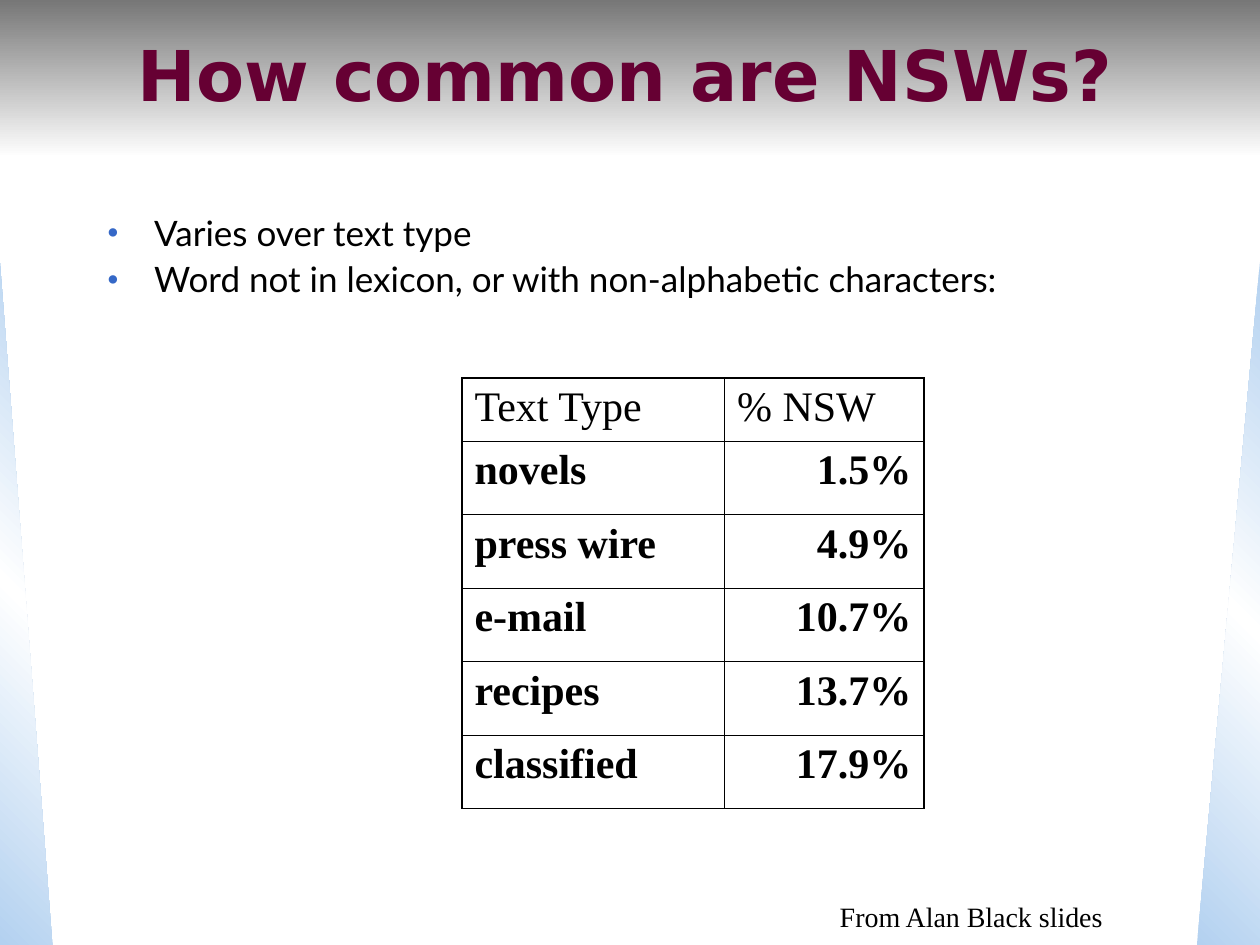
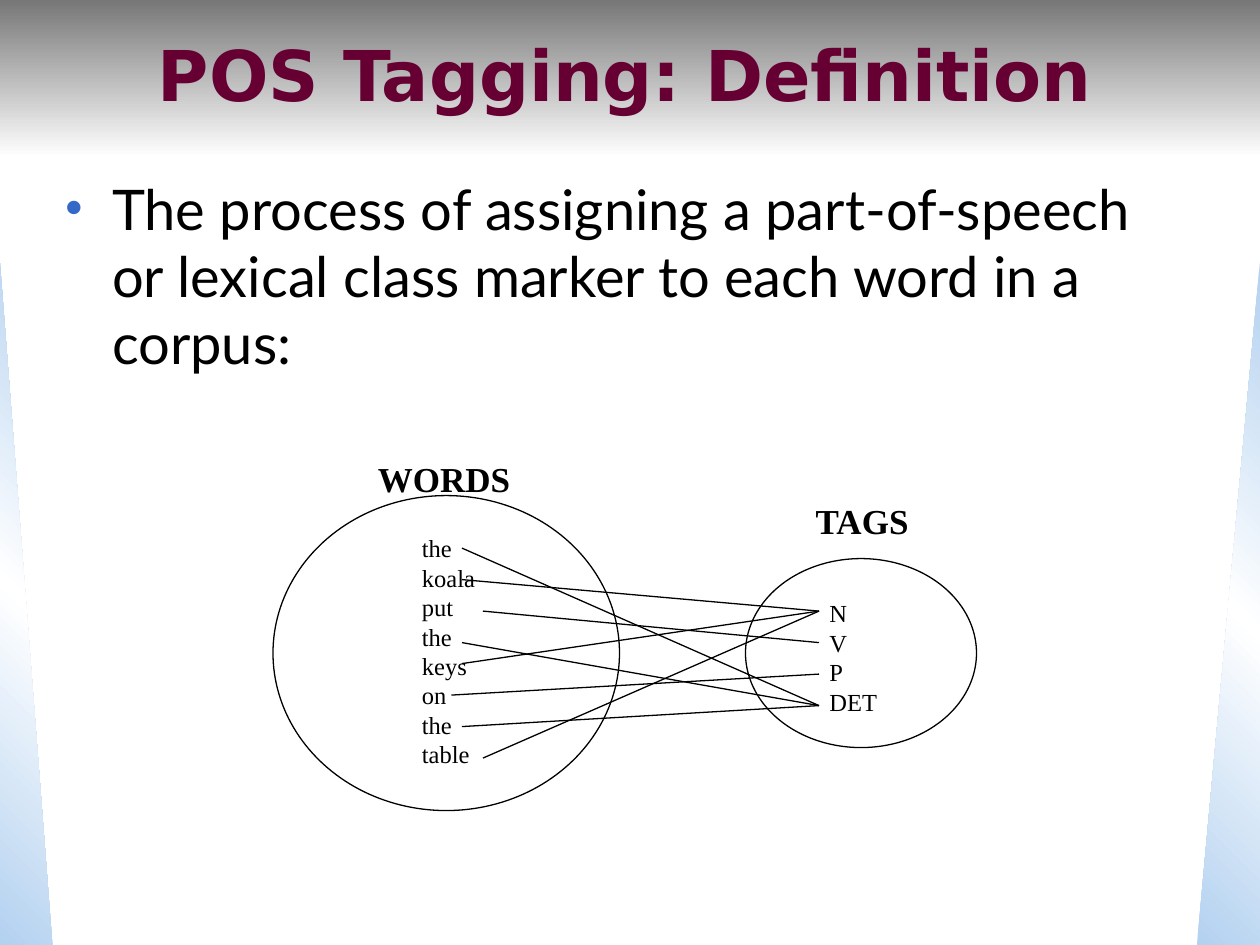
from dataclasses import dataclass

from lxml import etree
from pptx import Presentation
from pptx.dml.color import RGBColor
from pptx.enum.shapes import MSO_CONNECTOR, MSO_SHAPE
from pptx.enum.text import MSO_ANCHOR, MSO_AUTO_SIZE, PP_ALIGN
from pptx.oxml.ns import qn
from pptx.util import Pt

EMU_PER_PX = 7620
SLIDE_W, SLIDE_H = 1200, 900
RECT, TRIANGLE, OVAL = MSO_SHAPE.RECTANGLE, MSO_SHAPE.RIGHT_TRIANGLE, MSO_SHAPE.OVAL
STRAIGHT = MSO_CONNECTOR.STRAIGHT
LEFT, CENTER, RIGHT = PP_ALIGN.LEFT, PP_ALIGN.CENTER, PP_ALIGN.RIGHT
TOP, MIDDLE = MSO_ANCHOR.TOP, MSO_ANCHOR.MIDDLE
NO_FIT, GROW = MSO_AUTO_SIZE.NONE, MSO_AUTO_SIZE.SHAPE_TO_FIT_TEXT


@dataclass(frozen=True)
class Theme:
    """Colours, fonts, type sizes and line widths of the deck."""
    title: str = "660033"
    ink: str = "000000"
    bullet: str = "3568C7"
    band: tuple = ("777777", "FFFFFF")
    edge: tuple = ("B3D1F0", "FFFFFF", "B3D1F0")
    title_font: str = "DejaVu Sans"
    body_font: str = "Lato"
    serif: str = "Times New Roman"
    title_size: int = 40
    definition_size: int = 32
    cell_size: int = 24
    body_size: int = 20
    label_size: int = 20
    credit_size: int = 16
    list_size: int = 14
    rule: float = 0.75
    outer_border: float = 1.08
    inner_border: float = 0.45


THEME = Theme()

NSW_SHARES = [
    ("Text Type", "% NSW"),
    ("novels", "1.5%"),
    ("press wire", "4.9%"),
    ("e-mail", "10.7%"),
    ("recipes", "13.7%"),
    ("classified", "17.9%"),
]
TAGS = ["N", "V", "P", "DET"]
TAGGED_WORDS = [
    ("the", "DET", 180, 92),
    ("koala", "N", 180, 122),
    ("put", "V", 200, 152),
    ("the", "DET", 180, 182),
    ("keys", "N", 180, 202),
    ("on", "P", 170, 232),
    ("the", "DET", 180, 262),
    ("table", "N", 200, 292),
]


def emu(*lengths):
    """Turn px lengths into EMU."""
    return [length * EMU_PER_PX for length in lengths]


def child(parent, tag, **attributes):
    """Append a DrawingML element to its parent."""
    element = etree.SubElement(parent, qn(tag))
    for key, value in attributes.items():
        element.set(key, str(value))
    return element


def add_run(paragraph, text, font, size, color=THEME.ink, bold=False):
    """Add one styled run to a paragraph."""
    run = paragraph.add_run()
    run.text = text
    run.font.name, run.font.size, run.font.bold = font, Pt(size), bold
    run.font.color.rgb = RGBColor.from_string(color)


def add_text(shapes, box, lines, font, size, color=THEME.ink, bold=False,
             align=LEFT, anchor=TOP, grow=True):
    """Add a text box with one paragraph per line and return its frame."""
    frame = shapes.add_textbox(*emu(*box)).text_frame
    frame.word_wrap = not grow
    frame.auto_size = GROW if grow else NO_FIT
    frame.vertical_anchor = anchor
    for index, line in enumerate(lines):
        paragraph = frame.paragraphs[0] if index == 0 else frame.add_paragraph()
        paragraph.alignment = align
        add_run(paragraph, line, font, size, color, bold)
    return frame


def add_gradient_shape(slide, kind, box, colors, angle):
    """Add an unlined shape with evenly spaced gradient stops."""
    shape = slide.shapes.add_shape(kind, *emu(*box))
    shape.shadow.inherit = False
    shape.line.fill.background()
    shape.fill.gradient()
    gradient = shape.fill._xPr.find(qn("a:gradFill"))
    for part in list(gradient):
        gradient.remove(part)
    stops = child(gradient, "a:gsLst")
    for index, color in enumerate(colors):
        stop = child(stops, "a:gs", pos=100000 * index // (len(colors) - 1))
        child(stop, "a:srgbClr", val=color)
    child(gradient, "a:lin", ang=angle * 60000, scaled=0)
    return shape


def add_base_slide(deck, title):
    """Start a slide with the shared band, side wedges and title."""
    slide = deck.slides.add_slide(deck.slide_layouts[6])
    wedge_top = 250
    wedge_h = SLIDE_H - wedge_top
    add_gradient_shape(slide, RECT, (0, 0, SLIDE_W, 150), THEME.band, 90)
    add_gradient_shape(slide, TRIANGLE, (0, wedge_top, 50, wedge_h), THEME.edge, 135)
    right_wedge = add_gradient_shape(
        slide, TRIANGLE, (SLIDE_W - 60, wedge_top, 60, wedge_h), THEME.edge, 225)
    right_wedge._element.spPr.find(qn("a:xfrm")).set("flipH", "1")
    add_text(slide.shapes, (10, 0, 1170, 140), [title], THEME.title_font,
             THEME.title_size, THEME.title, True, CENTER, MIDDLE, False)
    return slide


def add_bullets(slide, box, points, size, line_spacing=1.0, gap=0):
    """Add a bulleted list with a hanging indent."""
    frame = add_text(slide.shapes, box, points, THEME.body_font, size, grow=False)
    hang = 45 * EMU_PER_PX
    for index, paragraph in enumerate(frame.paragraphs):
        paragraph.line_spacing = line_spacing
        if index:
            paragraph.space_before = Pt(gap)
        properties = paragraph._p.get_or_add_pPr()
        properties.set("marL", str(hang))
        properties.set("indent", str(-hang))
        child(child(properties, "a:buClr"), "a:srgbClr", val=THEME.bullet)
        child(properties, "a:buFont", typeface=THEME.serif)
        child(properties, "a:buChar", char="•")


def set_borders(cell, outer_sides):
    """Draw the four cell borders, heavier on the outer sides."""
    properties = cell._tc.get_or_add_tcPr()
    for side in "LRTB":
        width = THEME.outer_border if side in outer_sides else THEME.inner_border
        border = child(properties, f"a:ln{side}", w=Pt(width))
        child(child(border, "a:solidFill"), "a:srgbClr", val=THEME.ink)


def add_share_table(slide, left, top):
    """Add the table of NSW shares by text type."""
    col_widths = [250, 190]
    row_heights = [60] + [70] * (len(NSW_SHARES) - 1)
    table = slide.shapes.add_table(
        len(row_heights), len(col_widths),
        *emu(left, top, sum(col_widths), sum(row_heights))).table
    table.first_row = table.horz_banding = False
    for column, width in zip(table.columns, emu(*col_widths)):
        column.width = width
    last_row = len(NSW_SHARES) - 1
    for r, (row, height) in enumerate(zip(NSW_SHARES, emu(*row_heights))):
        table.rows[r].height = height
        for c, text in enumerate(row):
            cell = table.cell(r, c)
            outer = "LR"[c] + ("T" if r == 0 else "B" if r == last_row else "")
            set_borders(cell, outer)
            cell.fill.background()
            paragraph = cell.text_frame.paragraphs[0]
            paragraph.alignment = RIGHT if r and c else LEFT
            add_run(paragraph, text, THEME.serif, THEME.cell_size, bold=r > 0)


def add_set(shapes, oval_box, label, label_box, members, members_box):
    """Add an outlined oval with its label and list of members."""
    add_text(shapes, members_box, members, THEME.serif, THEME.list_size)
    oval = shapes.add_shape(OVAL, *emu(*oval_box))
    oval.shadow.inherit = False
    oval.fill.background()
    oval.line.color.rgb = RGBColor.from_string(THEME.ink)
    oval.line.width = Pt(THEME.rule)
    add_text(shapes, label_box, [label], THEME.serif, THEME.label_size, bold=True)


def add_link(shapes, start, end):
    """Add a thin line from a word to its tag."""
    link = shapes.add_connector(STRAIGHT, *emu(*start, *end))
    link.line.color.rgb = RGBColor.from_string(THEME.ink)
    link.line.width = Pt(THEME.rule)
    child(link._element.spPr, "a:effectLst")


def add_tag_mapping(slide, left, top):
    """Add the grouped mapping from the word set to the tag set."""
    shapes = slide.shapes.add_group_shape().shapes

    def place(x, y, *size):
        return (left + x, top + y, *size)

    words = [word for word, *_ in TAGGED_WORDS]
    add_set(shapes, place(0, 42, 330, 300), "WORDS", place(88, 0, 150, 53),
            words, place(130, 72, 90, 236))
    add_set(shapes, place(450, 102, 220, 180), "TAGS", place(505, 40, 116, 53),
            TAGS, place(518, 134, 80, 125))
    for _, tag, x, y in TAGGED_WORDS:
        add_link(shapes, place(x, y), place(520, 152 + 30 * TAGS.index(tag)))


def build_nsw_slide(deck):
    """Build the slide on how common NSWs are."""
    slide = add_base_slide(deck, "How common are NSWs?")
    add_bullets(slide, (90, 200, 973, 184),
                ["Varies over text type",
                 "Word not in lexicon, or with non-alphabetic characters:"],
                THEME.body_size, 0.9, 5)
    add_text(slide.shapes, (788, 851, 276, 44), ["From Alan Black slides"],
             THEME.serif, THEME.credit_size)
    add_share_table(slide, 440, 360)


def build_tagging_slide(deck):
    """Build the slide that defines POS tagging."""
    slide = add_base_slide(deck, "POS Tagging: Definition")
    add_bullets(slide, (50, 160, 1080, 690),
                ["The process of assigning a part-of-speech or lexical class "
                 "marker to each word in a corpus:"],
                THEME.definition_size)
    add_tag_mapping(slide, 260, 430)


def main():
    """Build the deck and save it."""
    deck = Presentation()
    deck.slide_width, deck.slide_height = emu(SLIDE_W, SLIDE_H)
    build_nsw_slide(deck)
    build_tagging_slide(deck)
    deck.save("out.pptx")


if __name__ == "__main__":
    main()
